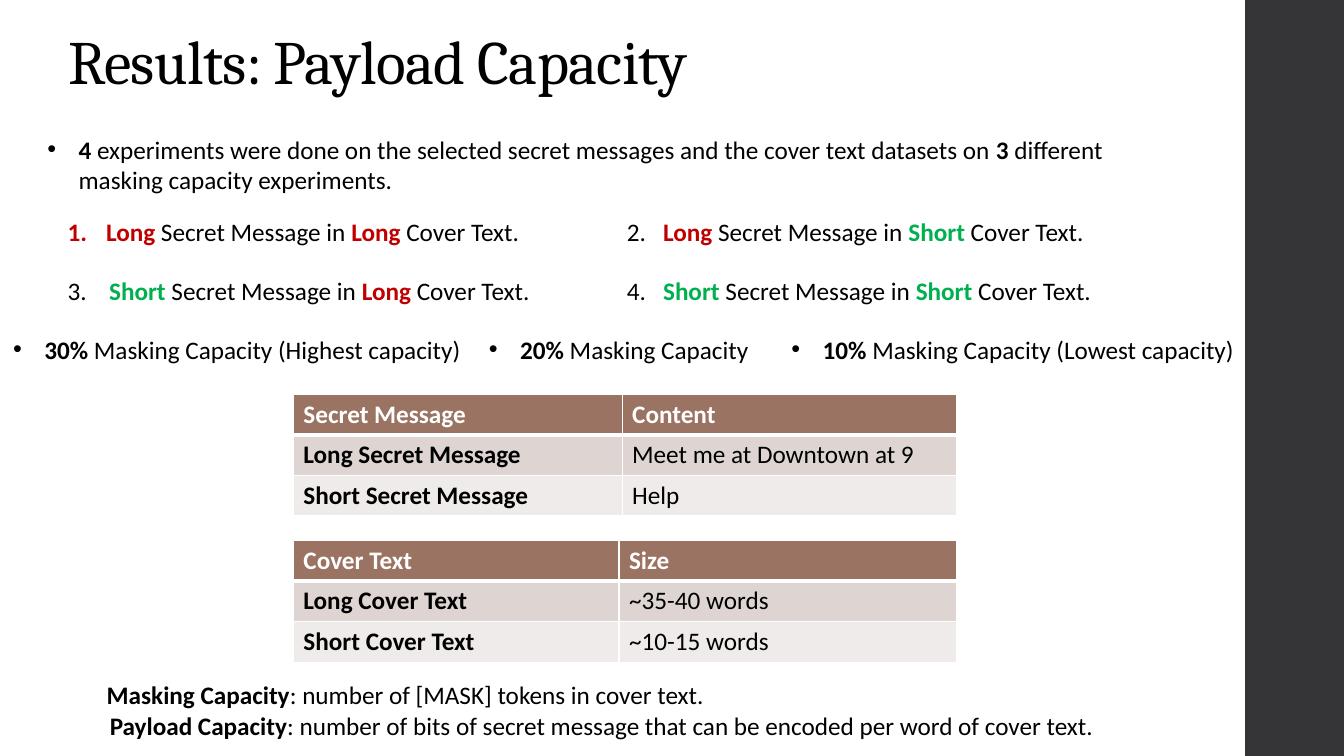
import pptx
import pptx.util
import pptx.dml.color
import pptx.enum.shapes
import pptx.enum.text
import pptx.oxml
import pptx.oxml.ns
from dataclasses import dataclass
from lxml import etree


@dataclass(frozen=True)
class Theme:
    heading_font: str = "Cambria"
    body_font: str = "Calibri"
    heading_size: int = 44
    body_size: int = 18
    text: str = "000000"
    white: str = "FFFFFF"
    sidebar: str = "353537"
    long: str = "C00000"
    short: str = "00B050"
    rows: tuple = ("9B7362", "DED5D3", "EFEBEA")


theme = Theme()
color = pptx.dml.color.RGBColor.from_string
qn = pptx.oxml.ns.qn
emphasis = {"Long": theme.long, "Short": theme.short}

presentation = pptx.Presentation()
presentation.slide_width = pptx.util.Inches(13.33)
presentation.slide_height = pptx.util.Inches(7.5)
slide = presentation.slides.add_slide(presentation.slide_layouts[6])

# The grid has 100 columns and 100 rows.
column = presentation.slide_width / 100
row = presentation.slide_height / 100


def add_text(left, top, width, height, text, hang=0, marker=None):
    """Add a text box; words between asterisks are bold, Long and Short coloured."""
    box = slide.shapes.add_textbox(int(left * column), int(top * row),
                                   int(width * column), int(height * row))
    frame = box.text_frame
    frame.word_wrap = True
    paragraph = frame.paragraphs[0]
    for index, part in enumerate(text.split("*")):
        if part:
            run = paragraph.add_run()
            run.text = part
            run.font.name = theme.body_font
            run.font.size = pptx.util.Pt(theme.body_size)
            run.font.bold = index % 2 == 1
            run.font.color.rgb = color(emphasis.get(part, theme.text) if run.font.bold else theme.text)
    if hang:
        properties = paragraph._p.get_or_add_pPr()
        properties.set("marL", str(int(hang * column)))
        properties.set("indent", str(int(-hang * column)))
        if marker == "•":
            etree.SubElement(properties, qn("a:buFont"), typeface="Arial")
            etree.SubElement(properties, qn("a:buChar"), char=marker)
        elif marker == "1.":
            etree.SubElement(properties, qn("a:buFont"), typeface="+mj-lt")
            etree.SubElement(properties, qn("a:buAutoNum"), type="arabicPeriod")
    return frame


def add_border(cell, sides):
    """Draw white cell borders; sides maps a border tag to its width in points."""
    properties = cell._tc.get_or_add_tcPr()
    for index, (side, points) in enumerate(sides.items()):
        line = etree.Element(qn("a:" + side), w=str(pptx.util.Pt(points)))
        fill = etree.SubElement(line, qn("a:solidFill"))
        etree.SubElement(fill, qn("a:srgbClr"), val=theme.white)
        properties.insert(index, line)


sidebar = slide.shapes.add_shape(pptx.enum.shapes.MSO_SHAPE.RECTANGLE, int(92.65 * column), 0,
                                 int(7.35 * column), presentation.slide_height)
sidebar.shadow.inherit = False
sidebar.fill.solid()
sidebar.fill.fore_color.rgb = color(theme.sidebar)
sidebar.line.fill.background()

title = add_text(4.35, 3.33, 80.5, 10.27, "Results: Payload Capacity")
title.vertical_anchor = pptx.enum.text.MSO_ANCHOR.BOTTOM
title.paragraphs[0].line_spacing = 0.9
title_run = title.paragraphs[0].runs[0]
title_run.font.name = theme.heading_font
title_run.font.size = pptx.util.Pt(theme.heading_size)
title_run._r.get_or_add_rPr().set("spc", "-50")

bullet_hang, line_height = 2.33, 5.33
add_text(2.78, 17.07, 86.27, 13.47,
         "*4* experiments were done on the selected secret messages and the cover text "
         "datasets on *3* different masking capacity experiments.", bullet_hang, "•")

experiments = [
    (2.85, "1.", "*Long* Secret Message in *Long* Cover Text."),
    (2.7, None, "2.\t*Long* Secret Message in *Short* Cover Text."),
    (3.08, None, "3.\t*Short* Secret Message in *Long* Cover Text."),
    (2.7, None, "4.\t*Short* Secret Message in *Short* Cover Text."),
]
for index, (hang, marker, text) in enumerate(experiments):
    line, side = divmod(index, 2)
    add_text(4.3 + side * 41.6, 28 + line * 7.73, 38.11, line_height, text, hang, marker)

for left, width, text in [
    (0.23, 36.91, "*30%* Masking Capacity (Highest capacity)"),
    (35.63, 23.11, "*20%* Masking Capacity"),
    (58.14, 36.91, "*10%* Masking Capacity (Lowest capacity)"),
]:
    add_text(left, 43.5, width, line_height, text, bullet_hang, "•")

tables = [
    (52.13, (24.46, 24.91), [("Secret Message", "Content"),
                             ("Long Secret Message", "Meet me at Downtown at 9"),
                             ("Short Secret Message", "Help")]),
    (71.47, (24.23, 25.13), [("Cover Text", "Size"),
                             ("Long Cover Text", "~35-40 words"),
                             ("Short Cover Text", "~10-15 words")]),
]
for top, widths, records in tables:
    table = slide.shapes.add_table(len(records), len(widths), int(21.83 * column), int(top * row),
                                   int(sum(widths) * column), int(16.13 * row)).table
    table.horz_banding = False
    for table_column, width in zip(table.columns, widths):
        table_column.width = int(width * column)
    for row_index, record in enumerate(records):
        for column_index, text in enumerate(record):
            header = row_index == 0
            cell = table.cell(row_index, column_index)
            cell.fill.solid()
            cell.fill.fore_color.rgb = color(theme.rows[row_index])
            add_border(cell, {"lnL": 1, "lnR": 1, "lnT": 3 if row_index == 1 else 1,
                              "lnB": 3 if header else 1})
            cell.text_frame.text = text
            font = cell.text_frame.paragraphs[0].runs[0].font
            font.name = theme.body_font
            font.size = pptx.util.Pt(theme.body_size)
            font.bold = header or column_index == 0
            font.color.rgb = color(theme.white if header else theme.text)

add_text(7.2, 89.2, 82.6, line_height, "*Masking Capacity*: number of [MASK] tokens in cover text.")
add_text(7.43, 93.33, 82.6, line_height,
         "*Payload Capacity*: number of bits of secret message that can be encoded per word of cover text.")

presentation.save("out.pptx")
